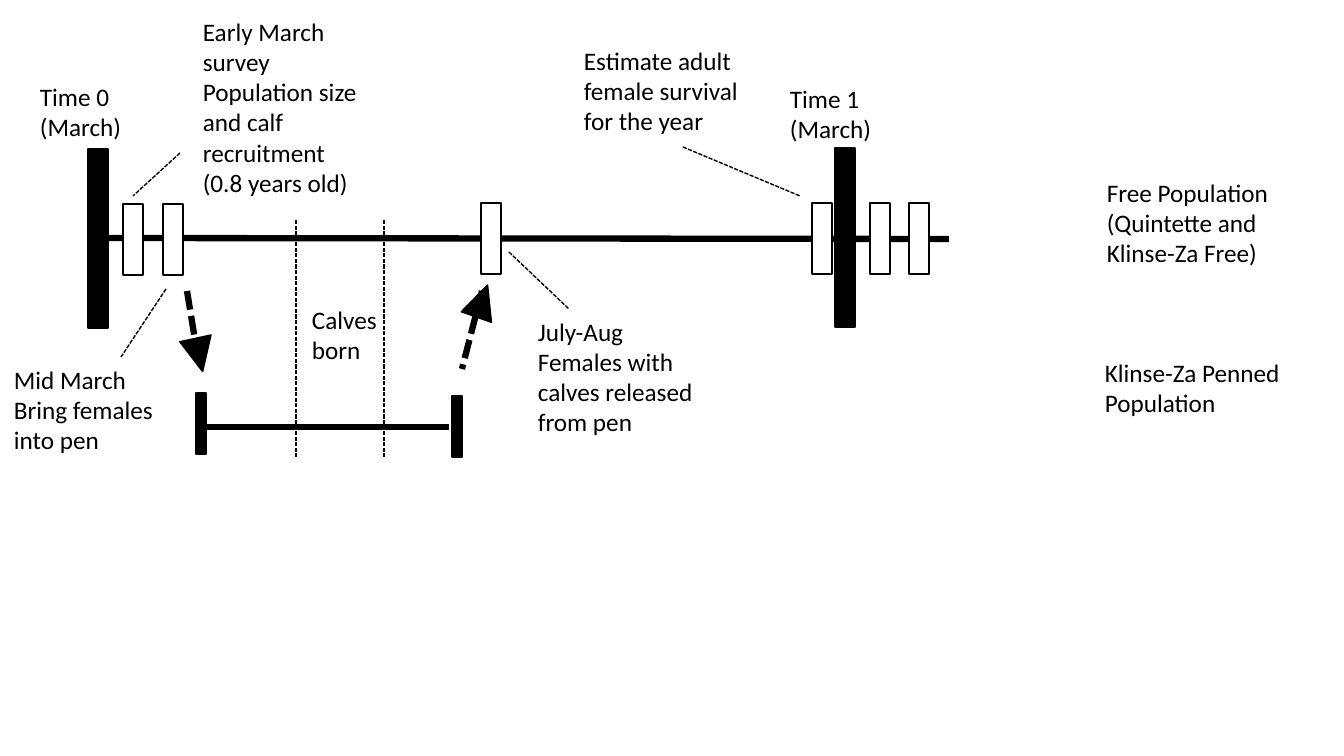
from lxml import etree
from pptx import Presentation
from pptx.dml.color import RGBColor
from pptx.enum.dml import MSO_LINE
from pptx.enum.shapes import MSO_CONNECTOR, MSO_SHAPE
from pptx.enum.text import MSO_AUTO_SIZE
from pptx.oxml.ns import qn
from pptx.util import Emu, Pt

STRAIGHT = MSO_CONNECTOR.STRAIGHT
RECT = MSO_SHAPE.RECTANGLE
TRIANGLE = MSO_SHAPE.ISOSCELES_TRIANGLE
DASH = MSO_LINE.SQUARE_DOT
FIT = MSO_AUTO_SIZE.SHAPE_TO_FIT_TEXT
EMU_PER_PX = 12192000 / 1344
COLORS = {"ink": "000000", "paper": "FFFFFF"}


def px(n):
    return Emu(round(n * EMU_PER_PX))


def color(name):
    return RGBColor.from_string(COLORS[name])


class Diagram:
    font = "Calibri"
    size = Pt(18)
    thin = Pt(1)
    thick = Pt(4.5)

    def __init__(self, slide):
        self.slide = slide

    def line(self, x1, y1, x2, y2, width, dashed=False):
        c = self.slide.shapes.add_connector(STRAIGHT, px(x1), px(y1), px(x2), px(y2))
        c.line.color.rgb = color("ink")
        c.line.width = width
        if dashed:
            c.line.dash_style = DASH
        etree.SubElement(c._element.spPr, qn("a:effectLst"))

    def shape(self, kind, x, y, w, h, fill="ink", rotation=0):
        sp = self.slide.shapes.add_shape(kind, px(x), px(y), px(w), px(h))
        sp.shadow.inherit = False
        sp.fill.solid()
        sp.fill.fore_color.rgb = color(fill)
        sp.line.color.rgb = color("ink")
        sp.line.width = self.thin
        sp.rotation = rotation

    def label(self, x, y, w, h, text):
        tf = self.slide.shapes.add_textbox(px(x), px(y), px(w), px(h)).text_frame
        tf.word_wrap = True
        tf.auto_size = FIT
        tf.text = text
        for p in tf.paragraphs:
            for r in p.runs:
                r.font.name = self.font
                r.font.size = self.size
                r.font.color.rgb = color("ink")


prs = Presentation()
prs.slide_width, prs.slide_height = px(1344), px(756)
d = Diagram(prs.slides.add_slide(prs.slide_layouts[6]))

free_timeline = (108, 238, 949, 239)
pen_timeline = (206, 427, 449, 427)
for ends in (free_timeline, pen_timeline):
    d.line(*ends, d.thick)

pen_entry = (187, 291, 197, 352)
pen_release = (482, 291, 462, 369)
for ends in (pen_entry, pen_release):
    d.line(*ends, d.thick, dashed=True)
for x, y, angle in ((183, 338, 167.7), (466, 284, 19.3)):
    d.shape(TRIANGLE, x, y, 32, 34, rotation=angle)

for x, y in ((88, 149), (835, 148)):
    d.shape(RECT, x, y, 20, 179)
for x, y in ((196, 393), (452, 396)):
    d.shape(RECT, x, y, 10, 61)
for x, y in ((123, 204), (163, 204), (481, 203), (812, 203), (870, 203), (909, 203)):
    d.shape(RECT, x, y, 20, 71, "paper")

calving_window = [(x, 220, x, 458) for x in (296, 384)]
leaders = [
    (180, 153, 133, 196),
    (166, 289, 121, 357),
    (509, 252, 569, 309),
    (683, 147, 800, 196),
]
for ends in calving_window + leaders:
    d.line(*ends, d.thin, dashed=True)

for label in (
    (30, 76, 109, 71, "Time 0 (March)"),
    (193, 11, 187, 194, "Early March survey\nPopulation size and calf recruitment (0.8 years old)"),
    (4, 359, 197, 102, "Mid March\nBring females into pen"),
    (302, 299, 135, 71, "Calves born"),
    (528, 311, 197, 132, "July-Aug\nFemales with calves released from pen"),
    (574, 40, 197, 102, "Estimate adult female survival for the year"),
    (780, 78, 109, 71, "Time 1 (March)"),
    (1097, 172, 182, 102, "Free Population\n(Quintette and Klinse-Za Free)"),
    (1095, 352, 208, 71, "Klinse-Za Penned Population"),
):
    d.label(*label)

prs.save("out.pptx")
